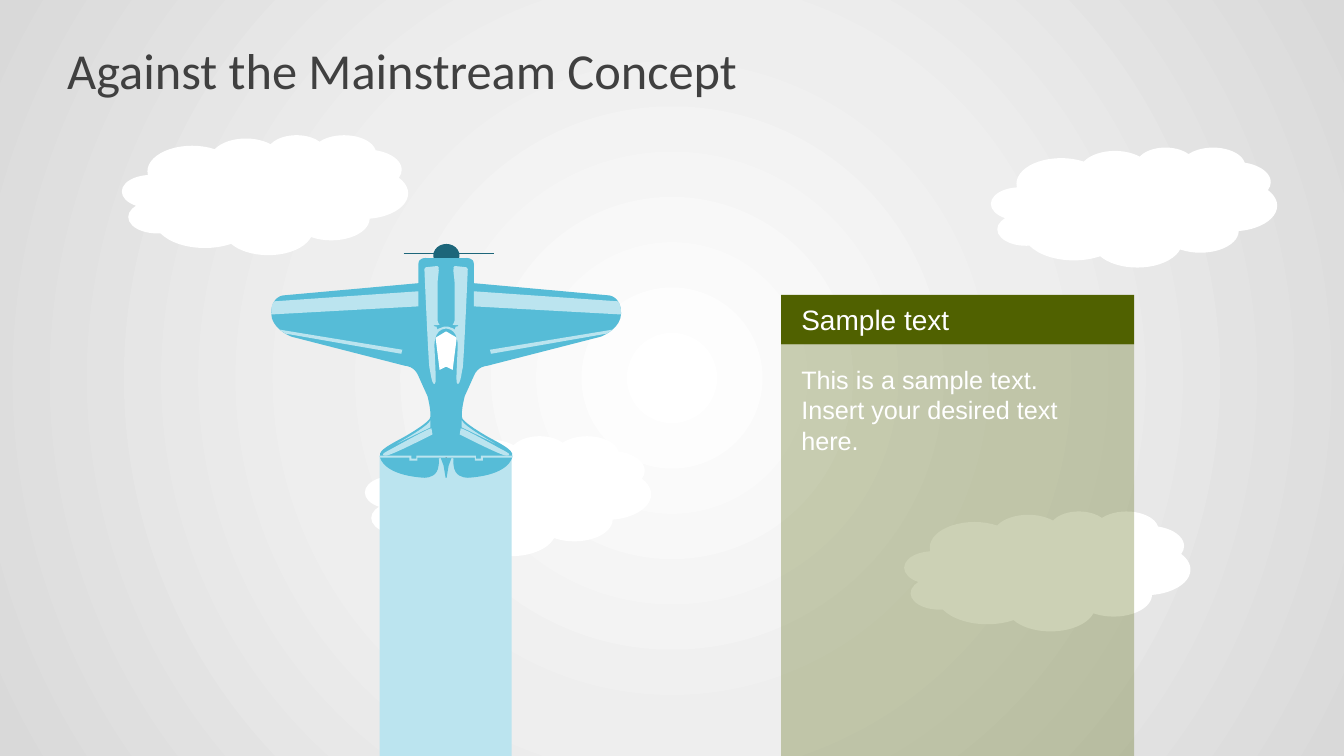
from dataclasses import dataclass

from pptx import Presentation
from pptx.dml.color import RGBColor
from pptx.enum.shapes import MSO_CONNECTOR, MSO_SHAPE
from pptx.enum.text import MSO_ANCHOR, MSO_AUTO_SIZE, PP_ALIGN
from pptx.oxml import parse_xml
from pptx.oxml.ns import nsdecls, qn
from pptx.oxml.xmlchemy import OxmlElement
from pptx.util import Inches, Pt

W, H = 13.33, 7.5


@dataclass(frozen=True)
class Theme:
    white: str = "FFFFFF"
    black: str = "000000"
    title: str = "404040"
    plane: str = "56BCD7"
    light: str = "BBE4EF"
    dark: str = "1D667A"
    panel: str = "506100"
    panel_alpha: int = 29
    backdrop: tuple = ((0, "FFFFFF"), (47, "EEEEEE"), (100, "D9D9D9"))
    title_font: str = "Calibri"
    body_font: str = "Arial"
    title_size: int = 36
    heading_size: int = 20
    body_size: int = 18


T = Theme()

# Left and top of each cloud, in percent of the slide
CLOUDS = ((73.74, 19.47), (67.29, 67.6), (9.08, 17.83), (27.16, 57.65))
CLOUD_SIZE = (21.28, 15.87)
PANEL_LEFT, PANEL_TOP, PANEL_WIDTH, HEADING_HEIGHT = 58.12, 39.01, 26.26, 6.54

# Right half of the plane in inches: a pair is a corner, six numbers are a Bezier curve
AXIS, WINGTIPS = 4.43, 8.85  # the two wing tips' x values add up to WINGTIPS
FUSELAGE = (
    (AXIS, 2.56), (4.62, 2.56), (4.62, 2.56, 4.7, 2.55, 4.7, 2.62),
    (4.7, 2.81), (6.03, 2.93), (6.03, 2.93, 6.16, 2.93, 6.16, 3.11),
    (6.16, 3.25, 5.99, 3.33, 5.96, 3.34), (4.83, 3.63),
    (4.83, 3.63, 4.74, 3.63, 4.7, 3.73), (4.66, 3.82, 4.61, 3.93, 4.61, 3.93),
    (4.61, 3.93, 4.56, 4.12, 4.59, 4.16), (4.62, 4.19, 4.66, 4.23, 4.85, 4.34),
    (5.04, 4.44, 5.1, 4.48, 5.08, 4.54), (5.06, 4.61, 4.96, 4.72, 4.64, 4.74),
    (4.59, 4.74, 4.51, 4.72, 4.5, 4.62), (4.49, 4.57, 4.5, 4.55, 4.5, 4.55),
    (4.48, 4.54), (4.45, 4.62), (AXIS, 4.74))
COWLING = (
    (AXIS, 3.24), (4.44, 3.24, 4.45, 3.24, 4.47, 3.25),
    (4.5, 3.25, 4.5, 3.27, 4.51, 3.27), (4.52, 3.27, 4.51, 3.25, 4.52, 3.24),
    (4.53, 3.24, 4.55, 3.24, 4.55, 3.23), (4.55, 3.22, 4.49, 3.23, 4.49, 3.22),
    (4.49, 3.21, 4.51, 3.21, 4.51, 3.18), (4.51, 2.83),
    (4.51, 2.75, 4.49, 2.68, 4.5, 2.66), (4.5, 2.66, 4.49, 2.65, 4.51, 2.64),
    (4.53, 2.64, 4.61, 2.65, 4.61, 2.65), (4.62, 2.65, 4.64, 2.65, 4.64, 2.67),
    (4.64, 2.69, 4.6, 3.59, 4.59, 3.65), (4.58, 3.68, 4.57, 3.81, 4.54, 3.81),
    (4.52, 3.81, 4.53, 3.7, 4.53, 3.68), (4.53, 3.67, 4.54, 3.45, 4.54, 3.44),
    (4.54, 3.43, 4.55, 3.27, AXIS, 3.26))
CANOPY = ((AXIS, 3.29), (4.53, 3.35), (4.49, 3.67), (AXIS, 3.64))
RUDDER_LINE = (
    (AXIS, 4.52), (4.72, 4.52), (4.72, 4.55), (4.77, 4.55), (4.77, 4.52), (5.09, 4.52),
    (5.08, 4.54), (4.79, 4.54), (4.79, 4.57), (4.71, 4.57), (4.71, 4.54), (AXIS, 4.54))
WING_STRIPE = (
    (4.7, 2.89), (6.13, 2.99), (6.15, 3.01, 6.16, 3.05, 6.16, 3.12), (4.7, 3.04))
FLAP = ((4.87, 3.51), (6.02, 3.31), (6.04, 3.3, 6.06, 3.28, 6.08, 3.27), (4.86, 3.47))
TAIL_STRIPE = (
    (4.57, 4.25), (4.56, 4.31), (4.56, 4.31, 4.97, 4.52, 5.02, 4.52),
    (5.08, 4.52, 5.06, 4.5, 4.96, 4.45), (4.87, 4.4, 4.58, 4.24, 4.57, 4.25))
TAIL_EDGE = ((4.58, 4.17), (4.58, 4.24), (4.91, 4.4), (4.91, 4.4, 4.6, 4.23, 4.58, 4.17))
HINGE = ((4.42, 4.54), (4.43, 4.54), (4.43, 4.53))


def rgb(value):
    return RGBColor.from_string(value)


def px(share):
    return Inches(W * share / 100)


def py(share):
    return Inches(H * share / 100)


def box(x, y, w, h):
    return px(x), py(y), px(w), py(h)


def assign(target, values):
    for name, value in values.items():
        setattr(target, name, value)


def paint(shape, color, alpha=None):
    shape.shadow.inherit = False
    shape.line.fill.background()
    shape.fill.solid()
    shape.fill.fore_color.rgb = rgb(color)
    if alpha is not None:
        node = OxmlElement("a:alpha")
        node.set("val", str(alpha * 1000))
        shape._element.spPr.find(".//" + qn("a:srgbClr")).append(node)


def add_block(s, preset, place, color, alpha=None):
    shape = s.shapes.add_shape(preset, *box(*place))
    paint(shape, color, alpha)
    return shape


def write(shape, lines, size, font, color, anchor, margins):
    tf = shape.text_frame
    assign(tf, dict(word_wrap=True, auto_size=MSO_AUTO_SIZE.NONE, vertical_anchor=anchor))
    names = ("margin_left", "margin_top", "margin_right", "margin_bottom")
    assign(tf, dict(zip(names, map(Inches, margins))))
    for i, line in enumerate(lines):
        p = tf.add_paragraph() if i else tf.paragraphs[0]
        p.alignment = PP_ALIGN.LEFT
        r = p.add_run()
        r.text = line
        assign(r.font, dict(size=Pt(size), name=font))
        r.font.color.rgb = rgb(color)


def pairs(node):
    return list(zip(node[::2], node[1::2]))


def mirror(outline):
    """Reflect an outline across the plane's axis and run it backwards."""
    points = [(WINGTIPS - x, y) for node in outline for x, y in pairs(node)][::-1]
    lengths = [len(node) // 2 for node in outline[:0:-1]]
    result, at = [points[0]], 1
    for length in lengths:
        result.append(sum(points[at:at + length], ()))
        at += length
    return tuple(result)


def add_outline(s, outline, color):
    ends = [tuple(map(Inches, node[-2:])) for node in outline]
    builder = s.shapes.build_freeform(*ends[0])
    builder.add_line_segments(ends[1:], close=True)
    shape = builder.convert_to_shape()
    segments = list(shape._element.iter(qn("a:lnTo")))
    for segment, node in zip(segments, outline[1:]):
        if len(node) == 6:
            curve = OxmlElement("a:cubicBezTo")
            for x, y in pairs(node):
                pt = OxmlElement("a:pt")
                pt.set("x", str(Inches(x) - shape.left))
                pt.set("y", str(Inches(y) - shape.top))
                curve.append(pt)
            segment.getparent().replace(segment, curve)
    paint(shape, color)


def add_symmetric(s, half, color):
    add_outline(s, half + mirror(half), color)


def add_pair(s, part, color):
    for side in (part, mirror(part)):
        add_outline(s, side, color)


def add_propeller(s):
    line = s.shapes.add_connector(
        MSO_CONNECTOR.STRAIGHT, px(30.03), py(33.47), px(36.76), py(33.47))
    line.line.color.rgb = rgb(T.dark)
    line.line.width = Pt(0.75)
    line._element.spPr.append(OxmlElement("a:effectLst"))


def add_plane(s):
    add_block(s, MSO_SHAPE.RECTANGLE, (28.24, 60.33, 9.83, 39.67), T.light)
    add_block(s, MSO_SHAPE.OVAL, (32.24, 32.27, 1.95, 3.07), T.dark)
    add_symmetric(s, FUSELAGE, T.plane)
    add_pair(s, WING_STRIPE, T.light)
    add_symmetric(s, COWLING, T.light)
    for part in (TAIL_STRIPE, TAIL_EDGE):
        add_pair(s, part, T.light)
    add_symmetric(s, CANOPY, T.white)
    add_pair(s, FLAP, T.light)
    add_pair(s, HINGE, T.black)
    add_symmetric(s, RUDDER_LINE, T.light)
    add_propeller(s)


def add_panel(s):
    body_top = PANEL_TOP + HEADING_HEIGHT
    heading = add_block(s, MSO_SHAPE.RECTANGLE,
                        (PANEL_LEFT, PANEL_TOP, PANEL_WIDTH, HEADING_HEIGHT), T.panel)
    write(heading, ["Sample text"], T.heading_size, T.body_font, T.white,
          MSO_ANCHOR.MIDDLE, (0.2,) * 4)
    body = add_block(s, MSO_SHAPE.RECTANGLE,
                     (PANEL_LEFT, body_top, PANEL_WIDTH, 100 - body_top),
                     T.panel, T.panel_alpha)
    write(body, ["This is a sample text.", "Insert your desired text here."],
          T.body_size, T.body_font, T.white, MSO_ANCHOR.TOP, (0.2,) * 4)


def set_backdrop(s):
    """Give the slide a circular gradient from its centre."""
    stops = "".join(f'<a:gs pos="{pos * 1000}"><a:srgbClr val="{color}"/></a:gs>'
                    for pos, color in T.backdrop)
    s._element.cSld.insert(0, parse_xml(
        f'<p:bg {nsdecls("p", "a")}><p:bgPr><a:gradFill><a:gsLst>{stops}</a:gsLst>'
        '<a:path path="circle"><a:fillToRect l="50000" t="50000" r="50000" b="50000"/>'
        '</a:path></a:gradFill><a:effectLst/></p:bgPr></p:bg>'))


def set_title(s, text):
    title = s.shapes.title
    assign(title, dict(zip(("left", "top", "width", "height"), box(5, 4, 90.02, 10.4))))
    write(title, [text], T.title_size, T.title_font, T.title,
          MSO_ANCHOR.MIDDLE, (0, 0.07, 0, 0.07))


def main():
    prs = Presentation()
    assign(prs, dict(slide_width=Inches(W), slide_height=Inches(H)))
    s = prs.slides.add_slide(prs.slide_layouts[5])
    set_backdrop(s)
    set_title(s, "Against the Mainstream Concept")
    for spot in CLOUDS:
        add_block(s, MSO_SHAPE.CLOUD, spot + CLOUD_SIZE, T.white)
    add_plane(s)
    add_panel(s)
    prs.save("out.pptx")


if __name__ == "__main__":
    main()
